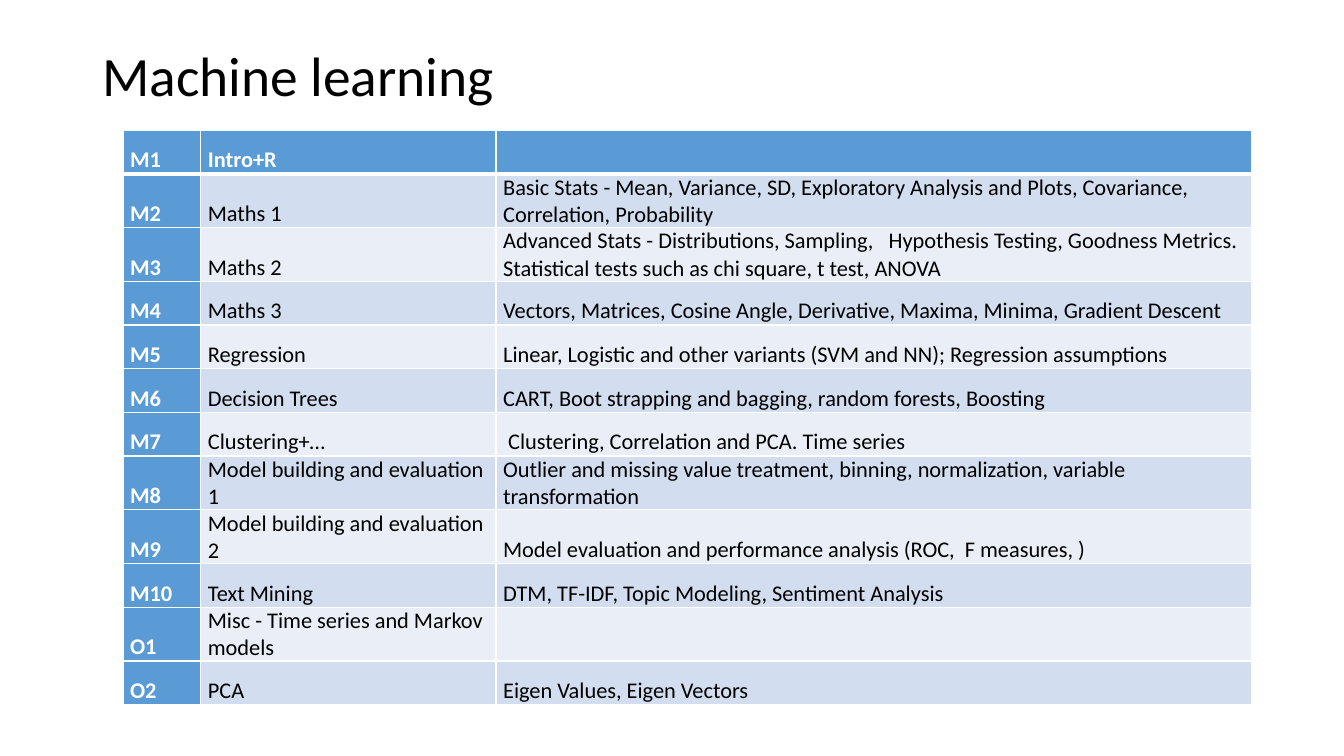
from lxml.etree import SubElement
from pptx import Presentation
from pptx.dml.color import RGBColor
from pptx.enum.text import MSO_ANCHOR as Anchor
from pptx.oxml.ns import qn
from pptx.util import Cm, Pt

COLORS = {"header": "5B9BD5", "odd": "D2DEEF", "even": "EAEFF7",
          "white": "FFFFFF", "black": "000000"}
MODULES = [
    ("M1", "Intro+R", ""),
    ("M2", "Maths 1", "Basic Stats - Mean, Variance, SD, Exploratory Analysis and Plots, "
     "Covariance, Correlation, Probability"),
    ("M3", "Maths 2", "Advanced Stats - Distributions, Sampling,   Hypothesis Testing, "
     "Goodness Metrics. Statistical tests such as chi square, t test, ANOVA"),
    ("M4", "Maths 3", "Vectors, Matrices, Cosine Angle, Derivative, Maxima, Minima, "
     "Gradient Descent"),
    ("M5", "Regression", "Linear, Logistic and other variants (SVM and NN); "
     "Regression assumptions"),
    ("M6", "Decision Trees", "CART, Boot strapping and bagging, random forests, Boosting"),
    ("M7", "Clustering+…", "\u00a0Clustering, Correlation and PCA. Time series"),
    ("M8", "Model building and evaluation 1", "Outlier and missing value treatment, "
     "binning, normalization, variable transformation"),
    ("M9", "Model building and evaluation 2",
     "Model evaluation and performance analysis (ROC,  F measures, )"),
    ("M10", "Text Mining", "DTM, TF-IDF, Topic Modeling, Sentiment Analysis"),
    ("O1", "Misc - Time series and Markov models", ""),
    ("O2", "PCA", "Eigen Values, Eigen Vectors"),
]
COLUMN_WIDTHS = [1.96, 7.44, 19.05]
ROW_HEIGHT = 1.1
CELL_FORMAT = {"vertical_anchor": Anchor.BOTTOM, "margin_left": Cm(0.18),
               "margin_right": Cm(0.18), "margin_top": 0, "margin_bottom": 0}
TITLE_FORMAT = {"word_wrap": True, "vertical_anchor": Anchor.MIDDLE}


def set_font(font, size, color, bold=False):
    for name, value in {"name": "Calibri", "size": Pt(size), "bold": bold}.items():
        setattr(font, name, value)
    font.color.rgb = RGBColor.from_string(COLORS[color])


def add_border(cell, side, width):
    line = SubElement(cell._tc.get_or_add_tcPr(), qn(f"a:ln{side}"), w=str(Pt(width)))
    color = SubElement(SubElement(line, qn("a:solidFill")), qn("a:srgbClr"))
    color.set("val", COLORS["white"])


deck = Presentation()
deck.slide_width, deck.slide_height = Cm(33.87), Cm(19.05)
slide = deck.slides.add_slide(deck.slide_layouts[6])

title = slide.shapes.add_textbox(Cm(2.33), Cm(1.02), Cm(29.21), Cm(1.93)).text_frame
for name, value in TITLE_FORMAT.items():
    setattr(title, name, value)
heading = title.paragraphs[0]
heading.text = "Machine learning"
heading.line_spacing = 0.9
set_font(heading.runs[0].font, 39.6, "black")

syllabus = slide.shapes.add_table(
    len(MODULES), len(COLUMN_WIDTHS), Cm(3.1), Cm(3.28),
    Cm(sum(COLUMN_WIDTHS)), Cm(ROW_HEIGHT * len(MODULES))).table
syllabus.first_col = True
for column, width in zip(syllabus.columns, COLUMN_WIDTHS):
    column.width = Cm(width)

for row_index, module in enumerate(MODULES):
    syllabus.rows[row_index].height = Cm(ROW_HEIGHT)
    for column_index, content in enumerate(module):
        cell = syllabus.cell(row_index, column_index)
        for name, value in CELL_FORMAT.items():
            setattr(cell, name, value)
        for side in "LRTB":
            under_header = (side, row_index) in (("B", 0), ("T", 1))
            add_border(cell, side, 3 if under_header else 1)
        is_header = row_index == 0 or column_index == 0
        band = "odd" if row_index % 2 else "even"
        cell.fill.solid()
        cell.fill.fore_color.rgb = RGBColor.from_string(COLORS["header" if is_header else band])
        entry = cell.text_frame.paragraphs[0]
        if content:
            entry.text = content
            set_font(entry.runs[0].font, 16, "white" if is_header else "black", is_header)

deck.save("out.pptx")
